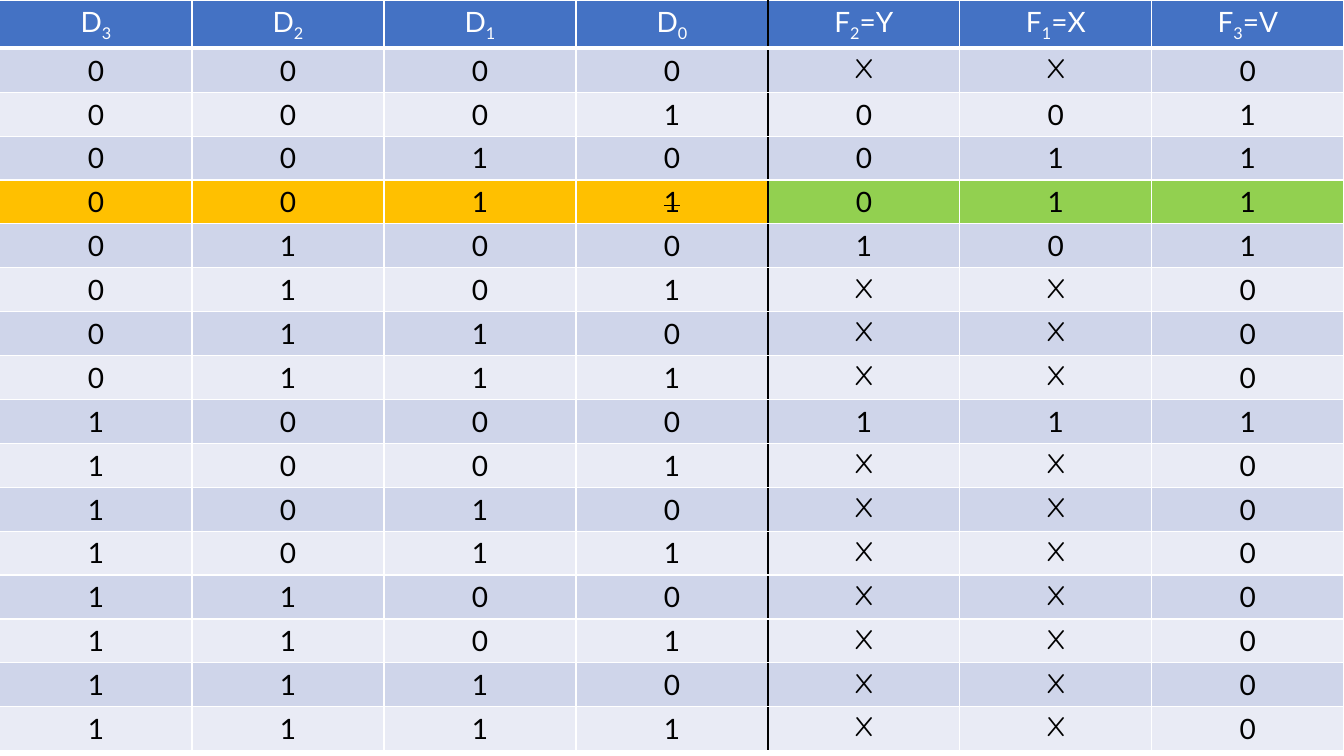
from lxml import etree
from pptx import Presentation
from pptx.dml.color import RGBColor
from pptx.enum.text import PP_ALIGN
from pptx.oxml.ns import qn
from pptx.util import Cm, Pt

CENTER = PP_ALIGN.CENTER
WIDTH, HEIGHT = Cm(33.87), Cm(19.05)
TABLE_HEIGHT, ROW_HEIGHT = Cm(18.72), Cm(0.89)
COLORS = {
    "head": "4472C4", "odd": "CFD5EA", "even": "E9EBF5",
    "input": "FFC000", "output": "92D050",
    "white": "FFFFFF", "black": "000000",
}
HEADS = [("D", "3", ""), ("D", "2", ""), ("D", "1", ""), ("D", "0", ""),
         ("F", "2", "=Y"), ("F", "1", "=X"), ("F", "3", "=V")]
INPUTS = 4
OUTPUTS = {1: "001", 2: "011", 3: "011", 4: "101", 8: "111"}
OTHER = "XX0"
MARKED = 3


def rgb(name):
    return RGBColor.from_string(COLORS[name])


def add_run(cell, text, color, **attrs):
    """Append a run; attrs are written straight onto its properties."""
    run = cell.text_frame.paragraphs[0].add_run()
    run.text = text
    style = {"name": "Comic Neue" if text == "X" else "Lato",
             "size": Pt(20), "bold": False}
    for key, value in style.items():
        setattr(run.font, key, value)
    run.font.color.rgb = rgb(color)
    for key, value in attrs.items():
        run._r.get_or_add_rPr().set(key, value)


def add_edge(cell, side, color, points):
    props = cell._tc.get_or_add_tcPr()
    line = etree.SubElement(props, qn("a:ln" + side), w=str(Pt(points)))
    if color is None:
        etree.SubElement(line, qn("a:noFill"))
    else:
        fill = etree.SubElement(line, qn("a:solidFill"))
        etree.SubElement(fill, qn("a:srgbClr"), val=COLORS[color])


def format_cell(cell, col, fill, base=1):
    """Set borders, fill and alignment; base is the bottom line's width."""
    left = None if col == 0 else "black" if col == INPUTS else "white"
    right = "black" if col == INPUTS - 1 else "white"
    add_edge(cell, "L", left, 1)
    add_edge(cell, "R", right, 1)
    add_edge(cell, "T", "white", 1)
    add_edge(cell, "B", "white", base)
    cell.fill.solid()
    cell.fill.fore_color.rgb = rgb(fill)
    cell.text_frame.paragraphs[0].alignment = CENTER


def fill_head(table):
    for col, (name, index, tail) in enumerate(HEADS):
        cell = table.cell(0, col)
        format_cell(cell, col, "head", 3)
        add_run(cell, name, "white")
        add_run(cell, index, "white", baseline="-25000")
        if tail:
            add_run(cell, tail, "white")


def fill_row(table, number):
    """Write one line of the truth table: input bits, then outputs."""
    values = f"{number:04b}" + OUTPUTS.get(number, OTHER)
    for col, value in enumerate(values):
        fill = "even" if number % 2 else "odd"
        attrs = {}
        if number == MARKED:
            fill = "input" if col < INPUTS else "output"
            if col == INPUTS - 1:
                attrs["strike"] = "sngStrike"
        cell = table.cell(number + 1, col)
        format_cell(cell, col, fill)
        add_run(cell, value, "black", **attrs)


def main():
    deck = Presentation()
    deck.slide_width, deck.slide_height = WIDTH, HEIGHT
    slide = deck.slides.add_slide(deck.slide_layouts[6])
    count = 2 ** INPUTS
    frame = slide.shapes.add_table(count + 1, len(HEADS), Cm(0), Cm(0),
                                   WIDTH, TABLE_HEIGHT)
    table = frame.table
    for row in table.rows:
        row.height = ROW_HEIGHT
    frame.height = TABLE_HEIGHT
    fill_head(table)
    for number in range(count):
        fill_row(table, number)
    deck.save("out.pptx")


if __name__ == "__main__":
    main()
